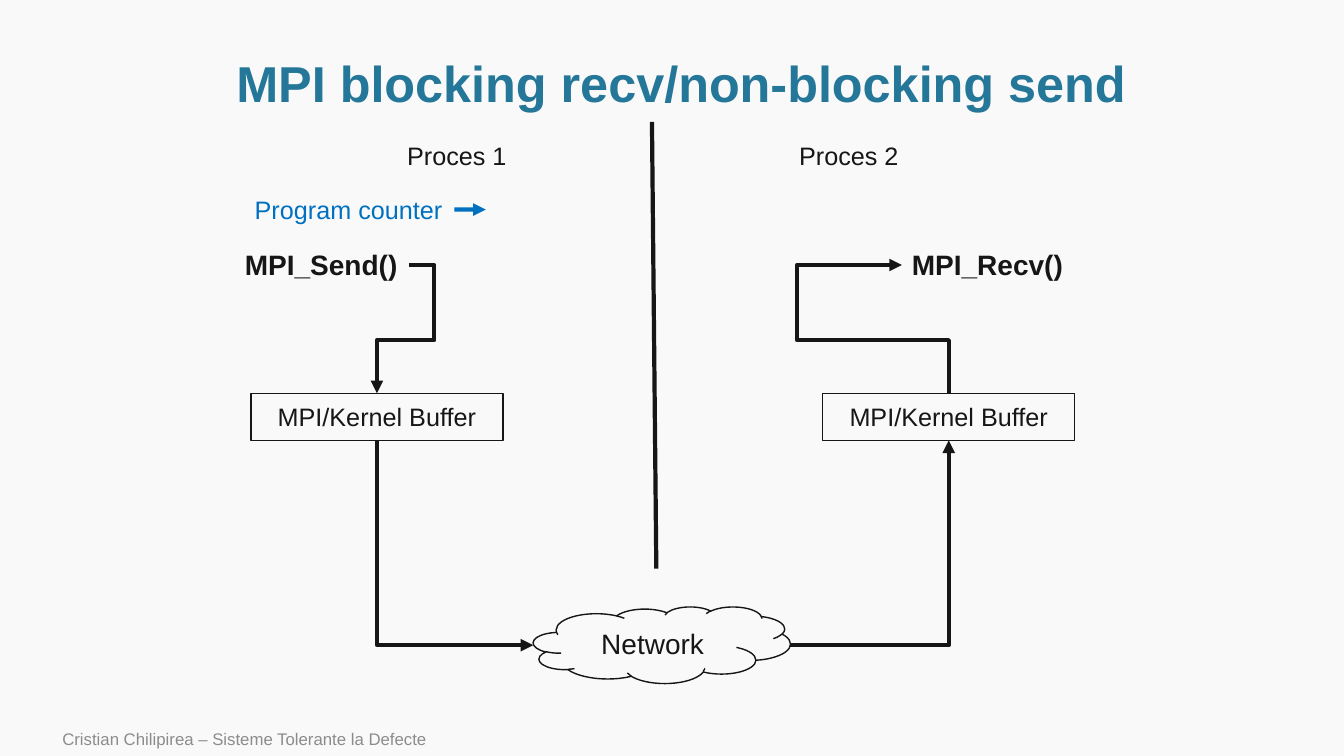
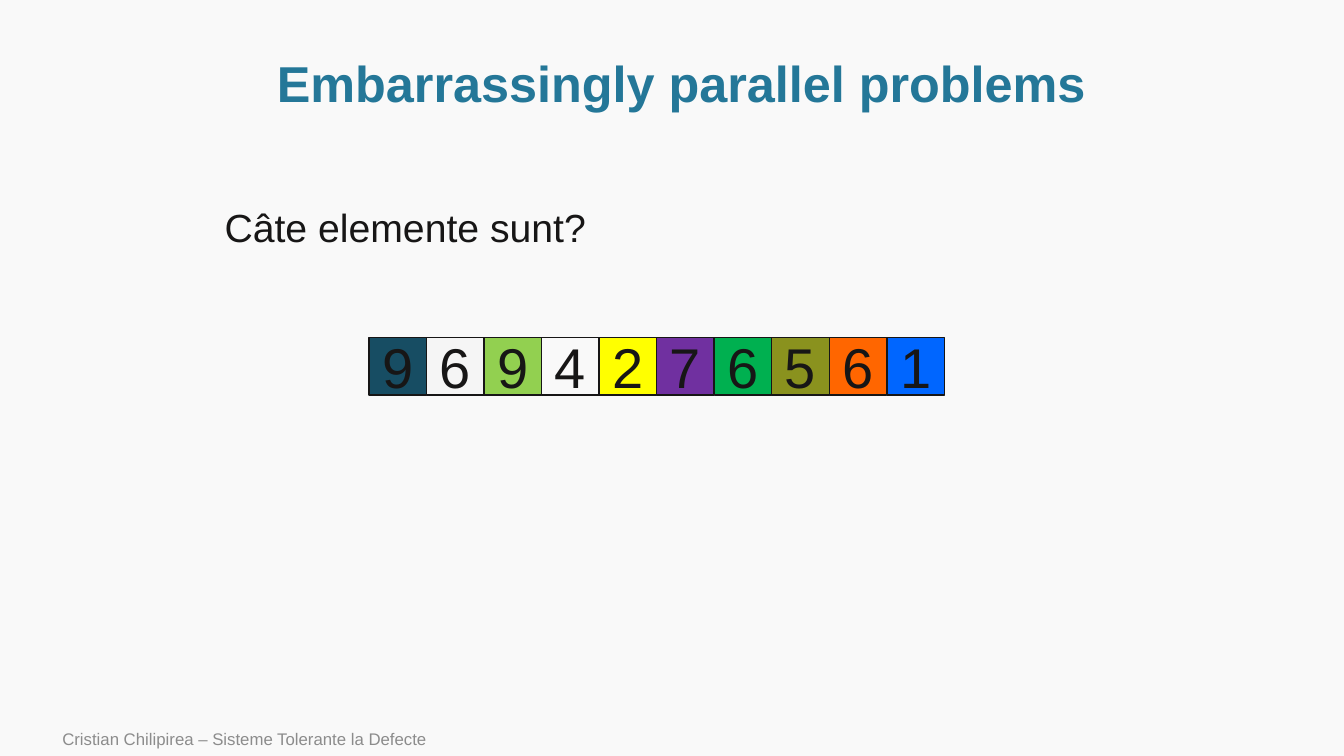
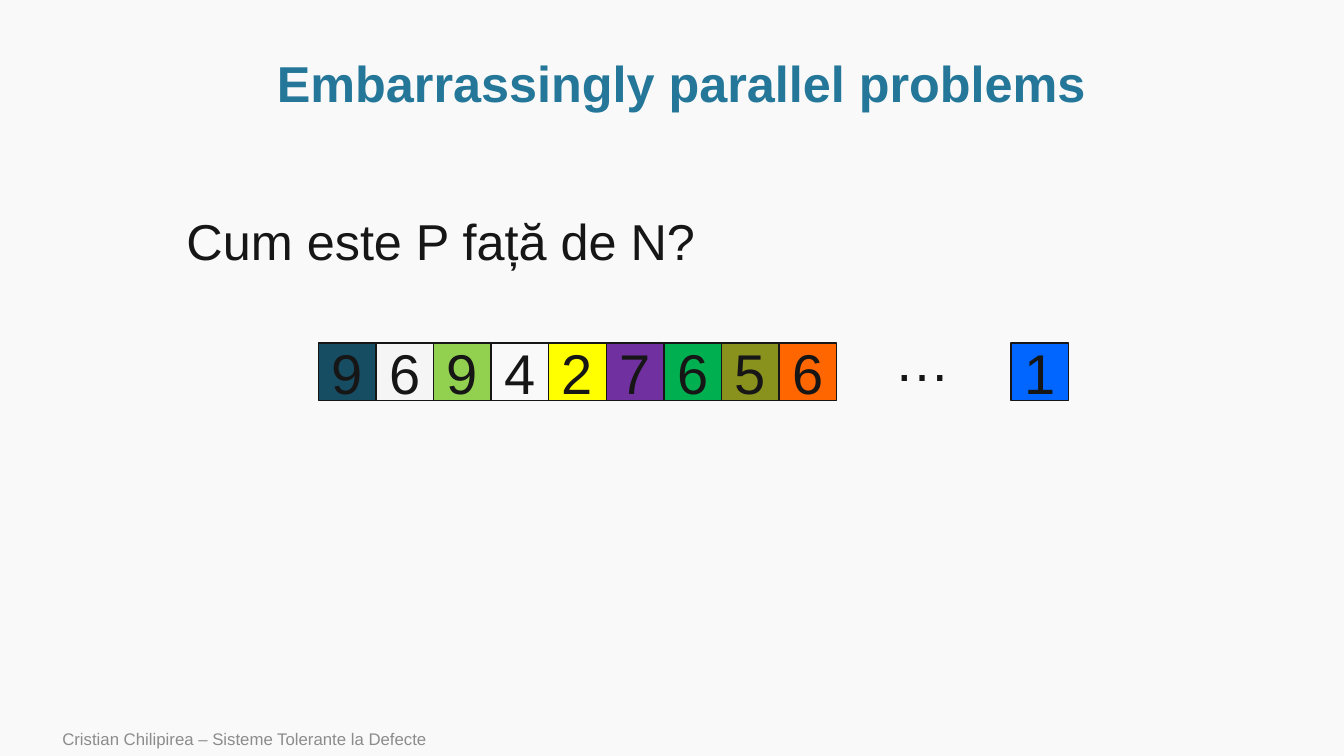
from dataclasses import dataclass

from lxml.etree import SubElement
from pptx import Presentation
from pptx.dml.color import RGBColor
from pptx.enum.shapes import MSO_CONNECTOR as Connector, MSO_SHAPE as Preset
from pptx.enum.text import MSO_ANCHOR as Anchor, MSO_AUTO_SIZE as AutoSize, PP_ALIGN as Align
from pptx.oxml.ns import qn
from pptx.util import Cm, Pt


@dataclass(frozen=True)
class Theme:
    font: str = "Arial"
    background: str = "F9F9F9"
    title: str = "247798"
    ink: str = "171616"
    muted: str = "8C8C8C"
    accent: str = "0070C0"
    title_size: int = 36
    digit_size: int = 40
    question_size: int = 28
    strong_size: int = 20
    label_size: int = 18
    footer_size: int = 12
    outline: int = 1
    stroke: int = 3


THEME = Theme()
FOOTER = "Cristian Chilipirea – Sisteme Tolerante la Defecte"
CELL = 1.45
CELLS = [
    ("9", "174D63"), ("6", "F5F5F5"), ("9", "92D050"), ("4", None), ("2", "FFFF00"),
    ("7", "7030A0"), ("6", "00B050"), ("5", "8A921E"), ("6", "FF6600"), ("1", "0066FF"),
]


def rgb(color):
    return RGBColor.from_string(color)


def write(shape, text, size=THEME.label_size, color=THEME.ink, bold=False,
          align=Align.LEFT, anchor=Anchor.TOP, wrap=True, auto_size=AutoSize.NONE,
          line_spacing=None):
    frame = shape.text_frame
    frame.text = text
    frame.word_wrap = wrap
    frame.auto_size = auto_size
    frame.vertical_anchor = anchor
    paragraph = frame.paragraphs[0]
    paragraph.alignment = align
    paragraph.line_spacing = line_spacing
    font = paragraph.runs[0].font
    font.name, font.size, font.bold = THEME.font, Pt(size), bold
    font.color.rgb = rgb(color)


class Deck:
    """Holds the presentation and the slide being filled; lengths are in centimetres."""

    def __init__(self):
        self.presentation = Presentation()
        self.presentation.slide_width = Cm(33.87)
        self.presentation.slide_height = Cm(19.05)
        fill = self.presentation.slide_master.background.fill
        fill.solid()
        fill.fore_color.rgb = rgb(THEME.background)
        self.slide = None

    def new_slide(self, title):
        self.slide = self.presentation.slides.add_slide(self.presentation.slide_layouts[5])
        heading = self.slide.shapes.title
        heading.left, heading.top = Cm(2.57), Cm(1.3)
        heading.width, heading.height = Cm(29.21), Cm(1.75)
        write(heading, title, size=THEME.title_size, color=THEME.title, bold=True,
              align=Align.CENTER, anchor=Anchor.MIDDLE, line_spacing=0.9)
        self.text(FOOTER, 1.32, 18.19, 21.34, 0.86, size=THEME.footer_size,
                  color=THEME.muted, anchor=Anchor.MIDDLE)

    def text(self, text, left, top, width, height, **text_format):
        box = self.slide.shapes.add_textbox(Cm(left), Cm(top), Cm(width), Cm(height))
        write(box, text, **text_format)
        return box

    def label(self, text, left, top, width, height, **text_format):
        """Add a one-line text box that fits its text."""
        return self.text(text, left, top, width, height, wrap=False,
                         auto_size=AutoSize.SHAPE_TO_FIT_TEXT, **text_format)

    def shape(self, preset, text, left, top, width, height, fill=None, size=THEME.label_size):
        shape = self.slide.shapes.add_shape(preset, Cm(left), Cm(top), Cm(width), Cm(height))
        shape.shadow.inherit = False
        if fill:
            shape.fill.solid()
            shape.fill.fore_color.rgb = rgb(fill)
        else:
            shape.fill.background()
        shape.line.color.rgb = rgb(THEME.ink)
        shape.line.width = Pt(THEME.outline)
        write(shape, text, size=size, align=Align.CENTER, anchor=Anchor.MIDDLE)

    def line(self, start, end, kind=Connector.STRAIGHT, color=THEME.ink, arrow=True):
        connector = self.slide.shapes.add_connector(kind, *map(Cm, (*start, *end)))
        connector.line.color.rgb = rgb(color)
        connector.line.width = Pt(THEME.stroke)
        properties = connector.element.spPr
        if arrow:
            SubElement(properties.get_or_add_ln(), qn("a:tailEnd"), type="triangle")
        SubElement(properties, qn("a:effectLst"))
        return connector

    def elbow(self, start, end, preset, vertical_start=False, adjustments=()):
        """Add a bent arrow; one that leaves vertically is a frame turned by 270 degrees."""
        (x1, y1), (x2, y2) = start, end
        if vertical_start:
            middle_x, middle_y = (x1 + x2) / 2, (y1 + y2) / 2
            half_x, half_y = (y1 - y2) / 2, (x2 - x1) / 2
            start = middle_x - half_x, middle_y - half_y
            end = middle_x + half_x, middle_y + half_y
        connector = self.line(start, end, kind=Connector.ELBOW)
        properties = connector.element.spPr
        if vertical_start:
            properties.find(qn("a:xfrm")).set("rot", str(270 * 60000))
        geometry = properties.find(qn("a:prstGeom"))
        geometry.set("prst", preset)
        guides = geometry.find(qn("a:avLst"))
        if guides is None:
            guides = SubElement(geometry, qn("a:avLst"))
        for number, percent in enumerate(adjustments, 1):
            SubElement(guides, qn("a:gd"), name=f"adj{number}",
                       fmla=f"val {round(percent * 1000)}")

    def cells(self, cells, left, top):
        for index, (digit, fill) in enumerate(cells):
            self.shape(Preset.RECTANGLE, digit, left + index * CELL, top, CELL, CELL,
                       fill=fill, size=THEME.digit_size)


def add_message_slide(deck):
    deck.new_slide("MPI blocking recv/non-blocking send")
    call_y, buffer_top, buffer_bottom, network_y = 6.68, 9.91, 11.1, 16.26
    sender_x, receiver_x = 9.5, 23.91
    network_left, network_width = 13.44, 6.48

    for call, left in (("MPI_Send()", 5.92), ("MPI_Recv()", 22.73)):
        deck.label(call, left, 6.12, 4.37, 1.12, size=THEME.strong_size, bold=True)
    deck.line((16.54, 14.33), (16.43, 3.07), arrow=False)
    for process, left in (("Proces 1", 10.01), ("Proces 2", 19.89)):
        deck.label(process, left, 3.4, 3.05, 1.02)
    for center in (sender_x, receiver_x):
        deck.shape(Preset.RECTANGLE, "MPI/Kernel Buffer", center - 6.35 / 2, buffer_top,
                   6.35, buffer_bottom - buffer_top)
    deck.shape(Preset.CLOUD, "Network", network_left, 15.29, network_width, 1.93,
               size=THEME.strong_size)

    deck.elbow((10.31, call_y), (sender_x, buffer_top), "bentConnector4",
               adjustments=(-78.9, 58.6))
    deck.elbow((sender_x, buffer_bottom), (network_left, network_y), "bentConnector2",
               vertical_start=True)
    deck.elbow((network_left + network_width, network_y), (receiver_x, buffer_bottom),
               "bentConnector2")
    deck.elbow((receiver_x, buffer_top), (22.73, call_y), "bentConnector4",
               vertical_start=True, adjustments=(41.4, 324.5))

    counter = deck.label("Program counter", 6.17, 4.77, 5.28, 1.02, color=THEME.accent)
    pointer = deck.line((11.45, 5.28), (12.24, 5.28), color=THEME.accent)
    pointer.begin_connect(counter, 3)


def add_count_slide(deck):
    deck.new_slide("Embarrassingly parallel problems")
    deck.cells(CELLS, 9.3, 8.51)
    deck.text("Câte elemente sunt?", 5.41, 5, 17.6, 1.45, size=THEME.question_size)


def add_ratio_slide(deck):
    deck.new_slide("Embarrassingly parallel problems")
    deck.cells(CELLS[:-1], 8.03, 8.64)
    deck.cells(CELLS[-1:], 25.48, 8.64)
    deck.text("Cum este P față de N?", 4.45, 5.16, 14.91, 1.8, size=THEME.title_size)
    deck.label("…", 22.3, 8.08, 1.93, 1.96, size=THEME.digit_size)


def main():
    deck = Deck()
    add_message_slide(deck)
    add_count_slide(deck)
    add_ratio_slide(deck)
    deck.presentation.save("out.pptx")


if __name__ == "__main__":
    main()
